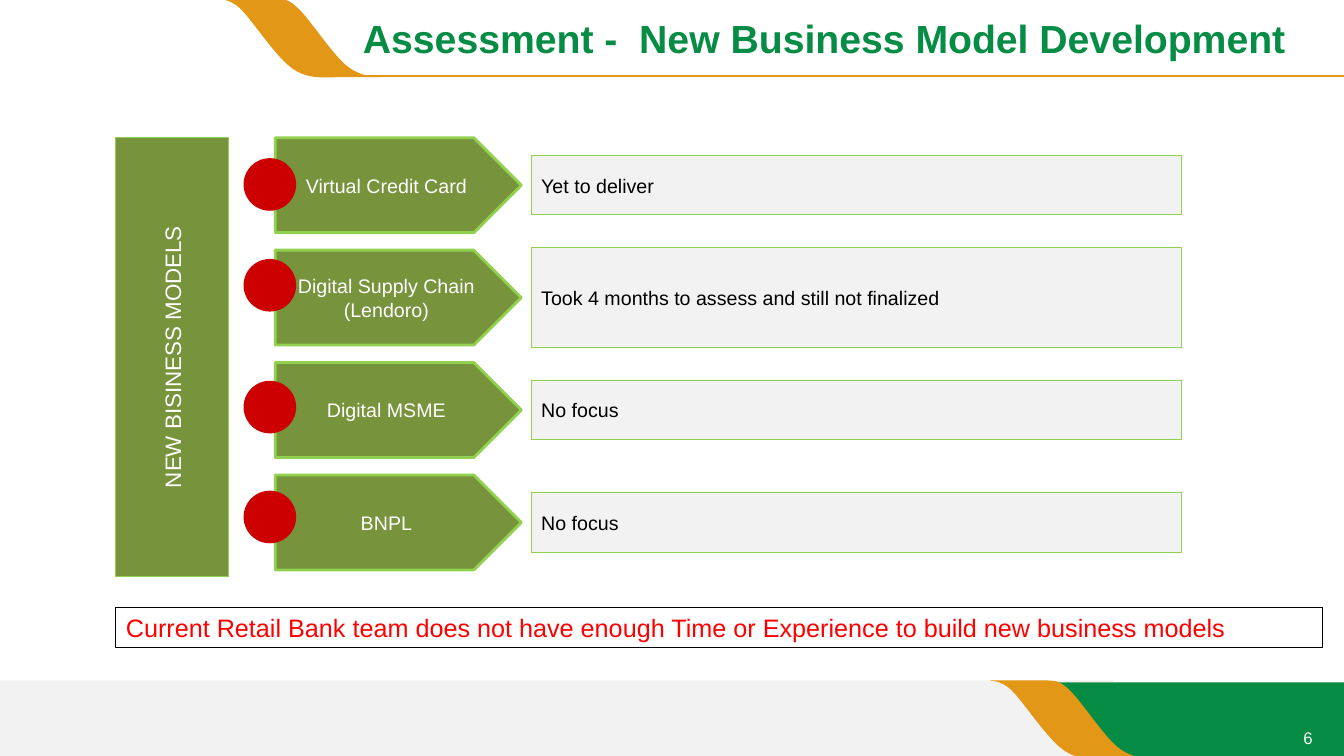
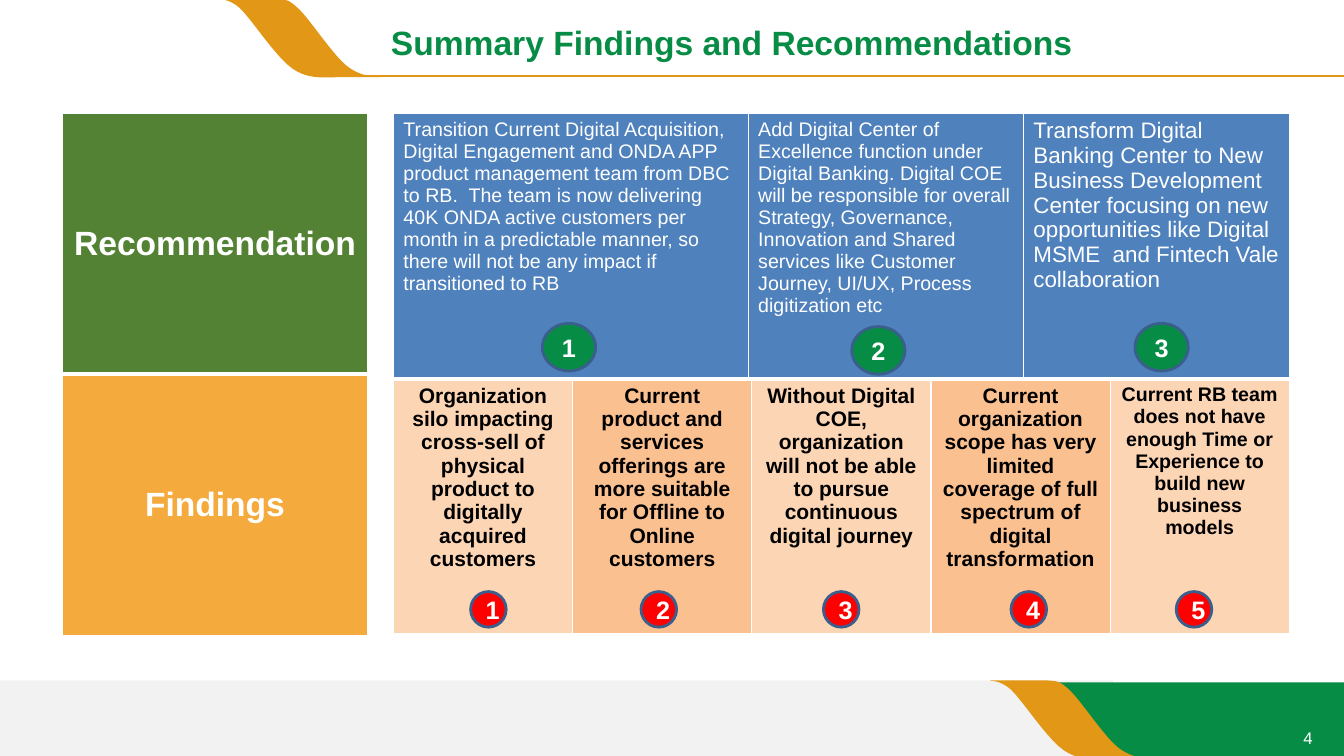
from dataclasses import dataclass

from lxml import etree
from pptx import Presentation
from pptx.dml.color import RGBColor
from pptx.enum.shapes import MSO_CONNECTOR, MSO_SHAPE
from pptx.enum.text import MSO_ANCHOR, MSO_AUTO_SIZE, PP_ALIGN
from pptx.oxml.ns import qn
from pptx.util import Pt

RECTANGLE, OVAL, PENTAGON = MSO_SHAPE.RECTANGLE, MSO_SHAPE.OVAL, MSO_SHAPE.PENTAGON
STRAIGHT = MSO_CONNECTOR.STRAIGHT
LEFT, CENTER, RIGHT = PP_ALIGN.LEFT, PP_ALIGN.CENTER, PP_ALIGN.RIGHT
TOP, MIDDLE, BOTTOM = MSO_ANCHOR.TOP, MSO_ANCHOR.MIDDLE, MSO_ANCHOR.BOTTOM
FIXED_SIZE = MSO_AUTO_SIZE.NONE
TITLE_ONLY = 5


def rgb(value):
    return RGBColor.from_string(value)


@dataclass(frozen=True)
class Theme:
    font: str = "Arial"
    white: RGBColor = rgb("FFFFFF")
    black: RGBColor = rgb("000000")
    green: RGBColor = rgb("068C44")
    orange: RGBColor = rgb("E39717")
    pale_gray: RGBColor = rgb("F2F2F2")
    olive: RGBColor = rgb("77933C")
    lime: RGBColor = rgb("92D050")
    status_red: RGBColor = rgb("CC0000")
    red: RGBColor = rgb("FF0000")
    forest: RGBColor = rgb("548235")
    amber: RGBColor = rgb("F4AA3C")
    blue: RGBColor = rgb("4F81BD")
    badge_line: RGBColor = rgb("3A5F8C")
    peach: RGBColor = rgb("FCD5B5")
    dark_peach: RGBColor = rgb("FAC090")
    title: int = 28
    heading: int = 24
    callout: int = 18
    label: int = 16
    finding: int = 15
    body: int = 14
    page: int = 12


THEME = Theme()
WIDTH, HEIGHT = 960, 540

RIBBON_START = (1, 0)
# Each segment is an end point, or two control points and an end point.
RIBBON_SEGMENTS = [
    [(40, 0)],
    [(48, 0.5), (50, 0), (58, 8)],
    [(66, 16), (81, 39), (91, 47.5)],
    [(101, 55.5), (110, 55.5), (116, 56)],
    [(85, 56)],
    [(74, 56), (64, 57.5), (53, 50)],
    [(41, 42), (24, 15), (15, 6.5)],
    [(6, -1.5), (-2, 1), (1, 0)],
]

# Model, status, height of the status box, top of the status light
MODELS = [
    ("Virtual Credit Card", "Yet to deliver", 42.5, 113),
    ("Digital Supply Chain (Lendoro)",
     "Took 4 months to assess and still not finalized", 72, 185),
    ("Digital MSME", "No focus", 42.5, 272),
    ("BNPL", "No focus", 42.5, 350.5),
]

# Text, column width, type size, left and top of the badge
RECOMMENDATIONS = [
    ("Transition Current Digital Acquisition, Digital Engagement and ONDA APP "
     "product management team from DBC to RB.  The team is now delivering 40K "
     "ONDA active customers per month in a predictable manner, so there will "
     "not be any impact if transitioned to RB",
     253.4, THEME.body, 387.4, 231),
    ("Add Digital Center of Excellence function under Digital Banking. Digital "
     "COE will be responsible for overall Strategy, Governance, Innovation and "
     "Shared services like Customer Journey, UI/UX, Process digitization etc",
     196.6, THEME.body, 608.4, 233.3),
    ("Transform Digital Banking Center to New Business Development Center "
     "focusing on new opportunities like Digital MSME  and Fintech Vale "
     "collaboration", 190, THEME.label, 810.7, 231),
]

# Text, type size, left of the badge
FINDINGS = [
    ("Organization silo impacting cross-sell of physical product to digitally "
     "acquired customers", THEME.finding, 336.2),
    ("Current product and services offerings are more suitable for Offline to "
     "Online customers", THEME.finding, 457.9),
    ("Without Digital COE, organization will not be able to pursue continuous "
     "digital journey", THEME.finding, 588.2),
    ("Current organization scope has very limited coverage of full spectrum of "
     "digital transformation", THEME.finding, 722.2),
    ("Current RB team does not have enough Time or Experience to build new "
     "business models", THEME.body, 840.2),
]


def write(frame, text, size, color, align=LEFT, bold=False):
    frame.text = text
    paragraph = frame.paragraphs[0]
    paragraph.alignment = align
    font = paragraph.font
    font.name, font.size, font.bold = THEME.font, Pt(size), bold
    font.color.rgb = color


def paint(shape, fill, line=None, line_width=0.75):
    """Apply flat fill and outline; None means neither is drawn."""
    shape.shadow.inherit = False
    if fill is None:
        shape.fill.background()
    else:
        shape.fill.solid()
        shape.fill.fore_color.rgb = fill
    if line is None:
        shape.line.fill.background()
    else:
        shape.line.color.rgb = line
        shape.line.width = Pt(line_width)


def add_block(slide, kind, box, fill, line=None, line_width=0.75):
    block = slide.shapes.add_shape(kind, *map(Pt, box))
    paint(block, fill, line, line_width)
    block.text_frame.word_wrap = True
    block.text_frame.vertical_anchor = MIDDLE
    return block


def add_outline(slide, start, points, fill, left=0, top=0):
    builder = slide.shapes.build_freeform(*map(Pt, start))
    builder.add_line_segments([(Pt(x), Pt(y)) for x, y in points])
    paint(builder.convert_to_shape(Pt(left), Pt(top)), fill)


def ribbon_points(steps=10):
    """Sample the curved segments of the ribbon as short straight lines."""
    points, start = [], RIBBON_START
    for segment in RIBBON_SEGMENTS:
        if len(segment) == 3:
            first, second, end = segment
            for step in range(1, steps + 1):
                t = step / steps
                u = 1 - t
                points.append(tuple(
                    u**3 * a + 3 * u * u * t * b + 3 * u * t * t * c + t**3 * d
                    for a, b, c, d in zip(start, first, second, end)))
        else:
            points += segment
        start = segment[-1]
    return points


def decorate_layout(layout, slide):
    """Draw the shared bands on a slide, then move them to its layout."""
    before = set(slide.shapes.element)
    add_block(slide, RECTANGLE, (0, 486, 795, 54), THEME.pale_gray)
    add_outline(slide, (731, 487.4),
                [(WIDTH, 487.4), (WIDTH, HEIGHT), (787, HEIGHT), (731, 487.4)],
                THEME.green)
    for left, top in ((707, 486), (156.2, -0.8)):
        add_outline(slide, RIBBON_START, ribbon_points(), THEME.orange, left, top)
    rule = slide.shapes.add_connector(STRAIGHT, Pt(248), Pt(54), Pt(WIDTH), Pt(54))
    rule.line.color.rgb = THEME.orange
    rule.line.width = Pt(1.5)
    etree.SubElement(rule.element.spPr, qn("a:effectLst"))
    for band in [item for item in slide.shapes.element if item not in before]:
        layout.shapes.element.append(band)


def set_title(slide, text, box, size, anchor):
    title = slide.shapes.title
    title.left, title.top, title.width, title.height = map(Pt, box)
    frame = title.text_frame
    write(frame, text, size, THEME.green, bold=True)
    frame.auto_size = FIXED_SIZE
    frame.word_wrap = True
    frame.vertical_anchor = anchor


def add_page_number(slide, number):
    box = slide.shapes.add_textbox(Pt(864.7), Pt(516.2), Pt(80), Pt(23.8))
    box.text_frame.word_wrap = True
    write(box.text_frame, number, THEME.page, THEME.white, RIGHT)


def add_borders(frame):
    """White cell edges, thicker below the first row."""
    for row_index, row in enumerate(frame.element.iter(qn("a:tr"))):
        edges = {"a:lnL": 1, "a:lnR": 1, "a:lnT": 1, "a:lnB": 1}
        if row_index:
            del edges["a:lnT"]
        else:
            edges["a:lnB"] = 3
        for properties in row.iter(qn("a:tcPr")):
            for position, (tag, width) in enumerate(edges.items()):
                edge = etree.Element(qn(tag), w=str(Pt(width)))
                fill = etree.SubElement(edge, qn("a:solidFill"))
                etree.SubElement(fill, qn("a:srgbClr"), val=str(THEME.white))
                properties.insert(position, edge)


def add_grid(slide, left, top, widths, row_height, rows, color,
             align=CENTER, anchor=TOP, bold=True):
    """Add a table from rows of (text, type size, fill)."""
    frame = slide.shapes.add_table(len(rows), len(widths), Pt(left), Pt(top),
                                   Pt(sum(widths)), Pt(row_height * len(rows)))
    table = frame.table
    table.first_row = table.horz_banding = False
    for column, width in zip(table.columns, widths):
        column.width = Pt(width)
    for row_index, row in enumerate(rows):
        table.rows[row_index].height = Pt(row_height)
        for column_index, (text, size, fill) in enumerate(row):
            cell = table.cell(row_index, column_index)
            cell.fill.solid()
            cell.fill.fore_color.rgb = fill
            cell.vertical_anchor = anchor
            write(cell.text_frame, text, size, color, align, bold)
    add_borders(frame)


def add_badge(slide, number, box, fill):
    badge = add_block(slide, OVAL, box, fill, THEME.badge_line, 2)
    write(badge.text_frame, str(number), THEME.callout, THEME.white, CENTER, True)


def fill_assessment(slide):
    set_title(slide, "Assessment -  New Business Model Development",
              (252, 0.7, 708, 53.3), THEME.title, MIDDLE)
    add_page_number(slide, "6")
    heading = add_block(slide, RECTANGLE, (82.8, 98.4, 80.2, 313.4),
                        THEME.olive, THEME.lime)
    heading.element.txBody.bodyPr.set("vert", "vert270")
    write(heading.text_frame, "NEW BISINESS MODELS", THEME.label, THEME.white, CENTER)
    arrow_height, pitch = 67.8, 80.3
    for index, (model, status, height, light_top) in enumerate(MODELS):
        top = 98.4 + index * pitch
        arrow = add_block(slide, PENTAGON, (196.6, top, 175.8, arrow_height),
                          THEME.olive, THEME.lime, 2)
        write(arrow.text_frame, model, THEME.body, THEME.white, CENTER)
        status_top = top + (arrow_height - height) / 2
        result = add_block(slide, RECTANGLE, (379.5, status_top, 464.5, height),
                           THEME.pale_gray, THEME.lime)
        write(result.text_frame, status, THEME.body, THEME.black)
        add_block(slide, OVAL, (174, light_top, 37.6, 37.6), THEME.status_red)
    conclusion = add_block(slide, RECTANGLE, (82.8, 433.8, 862, 29),
                           None, THEME.black)
    write(conclusion.text_frame,
          "Current Retail Bank team does not have enough Time or Experience "
          "to build new business models", THEME.callout, THEME.red)


def fill_summary(slide):
    set_title(slide, "Summary Findings and Recommendations",
              (272, 0, 688, 48.2), THEME.heading, BOTTOM)
    add_page_number(slide, "4")
    add_grid(slide, 44.6, 80.9, [218], 186.4,
             [[("Recommendation", THEME.heading, THEME.forest)],
              [("Findings", THEME.heading, THEME.amber)]],
             THEME.white, anchor=MIDDLE)
    stripes = (THEME.peach, THEME.dark_peach)
    add_grid(slide, 281, 270.8, [128] * len(FINDINGS), 182.6,
             [[(text, size, stripes[index % 2])
               for index, (text, size, _) in enumerate(FINDINGS)]], THEME.black)
    add_grid(slide, 281, 80.9, [item[1] for item in RECOMMENDATIONS], 189.9,
             [[(text, size, THEME.blue) for text, _, size, _, _ in RECOMMENDATIONS]],
             THEME.white, LEFT, bold=False)
    for number, (_, _, left) in enumerate(FINDINGS, 1):
        add_badge(slide, number, (left, 422.6, 25.4, 25.4), THEME.red)
    for number, (_, _, _, left, top) in enumerate(RECOMMENDATIONS, 1):
        add_badge(slide, number, (left, top, 38, 34), THEME.green)


def main():
    deck = Presentation()
    deck.slide_width, deck.slide_height = Pt(WIDTH), Pt(HEIGHT)
    layout = deck.slide_layouts[TITLE_ONLY]
    assessment, summary = (deck.slides.add_slide(layout) for _ in range(2))
    decorate_layout(layout, assessment)
    fill_assessment(assessment)
    fill_summary(summary)
    deck.save("out.pptx")


if __name__ == "__main__":
    main()
